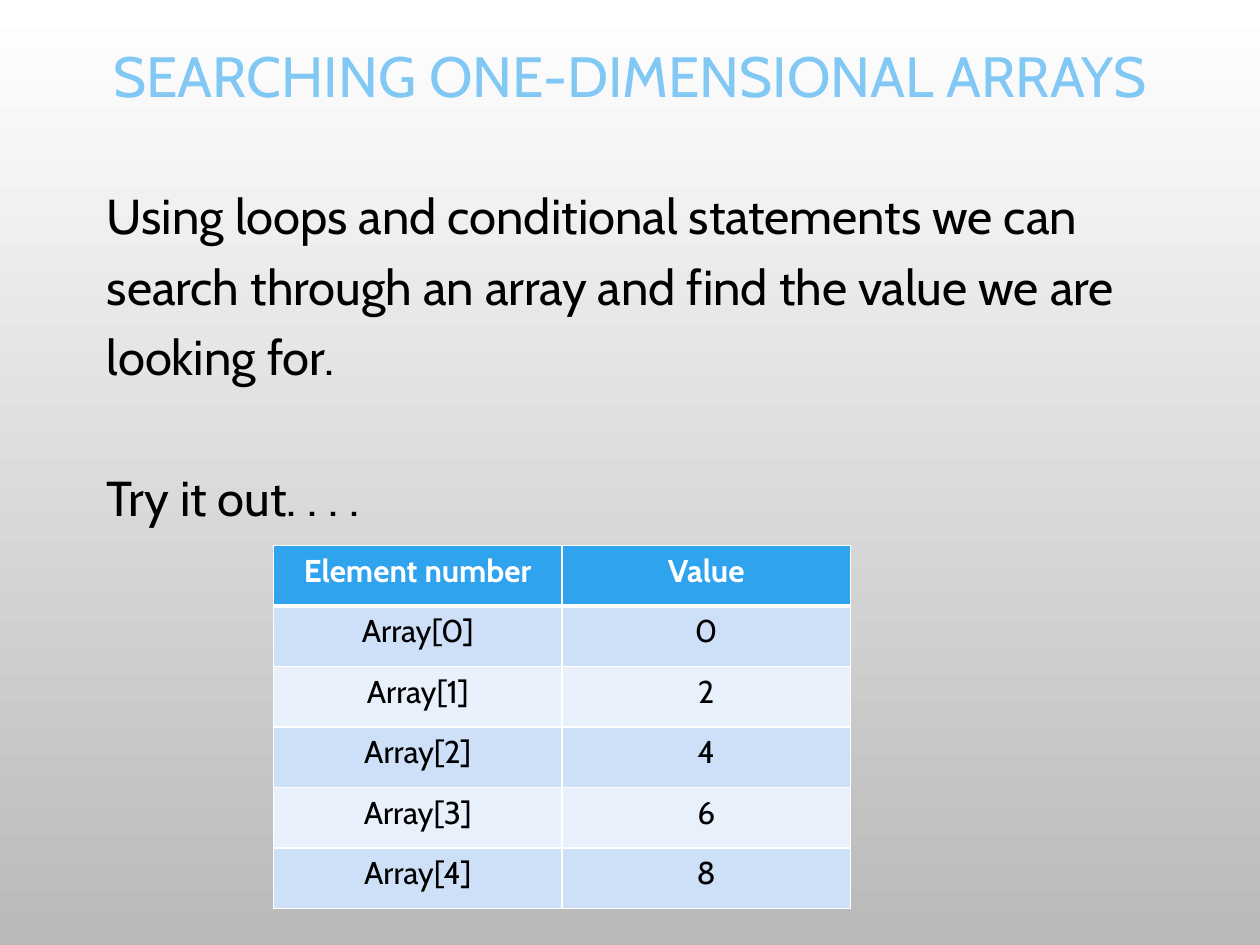
"""Build a slide on searching one-dimensional arrays."""
from lxml.etree import SubElement
from pptx import Presentation
from pptx.dml.color import RGBColor
from pptx.enum.text import MSO_ANCHOR, PP_ALIGN
from pptx.oxml.ns import qn
from pptx.util import Inches, Pt

TITLE = "SEARCHING ONE-DIMENSIONAL ARRAYS"
BODY = [
    "Using loops and conditional statements we can search through an array "
    "and find the value we are looking for.",
    "Try it out. . . .",
]
HEAD = ("Element number", "Value")
VALUES = [0, 2, 4, 6, 8]
ROWS = [HEAD] + [(f"Array[{i}]", str(v)) for i, v in enumerate(VALUES)]

FONT = "Cabin"
WHITE = RGBColor(0xFF, 0xFF, 0xFF)
GREY = RGBColor(0xB9, 0xB9, 0xB9)
BLACK = RGBColor(0, 0, 0)
SKY = RGBColor(0x82, 0xC8, 0xF5)
BLUE = RGBColor(0x2F, 0xA3, 0xEE)
BANDS = RGBColor(0xE8, 0xF0, 0xFC), RGBColor(0xCD, 0xE0, 0xF8)
COL, ROW = 2.29, 0.48


def write(frame, lines, size, color=BLACK, bold=False, align=PP_ALIGN.LEFT,
          pitch=1.0, gap=0):
    frame.word_wrap = True
    for i, line in enumerate(lines):
        para = frame.add_paragraph() if i else frame.paragraphs[0]
        para.alignment = align
        para.line_spacing = pitch
        para.space_before = Pt(gap if i else 0)
        run = para.add_run()
        run.text = line
        font = run.font
        font.name, font.size, font.bold = FONT, Pt(size), bold
        font.color.rgb = color


def add_box(slide, left, top, width, height):
    box = slide.shapes.add_textbox(
        Inches(left), Inches(top), Inches(width), Inches(height))
    return box.text_frame


def set_edges(cell, **widths):
    props = cell._tc.get_or_add_tcPr()
    for i, (side, width) in enumerate(widths.items()):
        line = SubElement(props, qn(f"a:ln{side}"), w=str(Pt(width)))
        fill = SubElement(line, qn("a:solidFill"))
        SubElement(fill, qn("a:srgbClr"), val=str(WHITE))
        props.insert(i, line)


deck = Presentation()
deck.slide_width, deck.slide_height = Inches(10), Inches(7.5)
slide = deck.slides.add_slide(deck.slide_layouts[6])

back = slide.background.fill
back.gradient()
back.gradient_angle = 270
for stop, color in zip(back.gradient_stops, (WHITE, GREY)):
    stop.color.rgb = color

title = add_box(slide, 0.75, 0.17, 8.5, 0.91)
title.vertical_anchor = MSO_ANCHOR.MIDDLE
write(title, [TITLE], 32.4, color=SKY, align=PP_ALIGN.CENTER, pitch=0.9)
write(add_box(slide, 0.75, 1.33, 8.5, 5), BODY, 28, pitch=1.2, gap=40.3)

table = slide.shapes.add_table(
    len(ROWS), len(HEAD), Inches(2.17), Inches(4.33),
    Inches(COL * len(HEAD)), Inches(ROW * len(ROWS))).table
for r, texts in enumerate(ROWS):
    top = r == 0
    for c, text in enumerate(texts):
        cell = table.cell(r, c)
        cell.fill.solid()
        cell.fill.fore_color.rgb = BLUE if top else BANDS[r % 2]
        set_edges(cell, L=1, R=1, T=3 if r == 1 else 1, B=3 if top else 1)
        write(cell.text_frame, [text], 18, color=WHITE if top else BLACK,
              bold=top, align=PP_ALIGN.CENTER)

deck.save("out.pptx")
